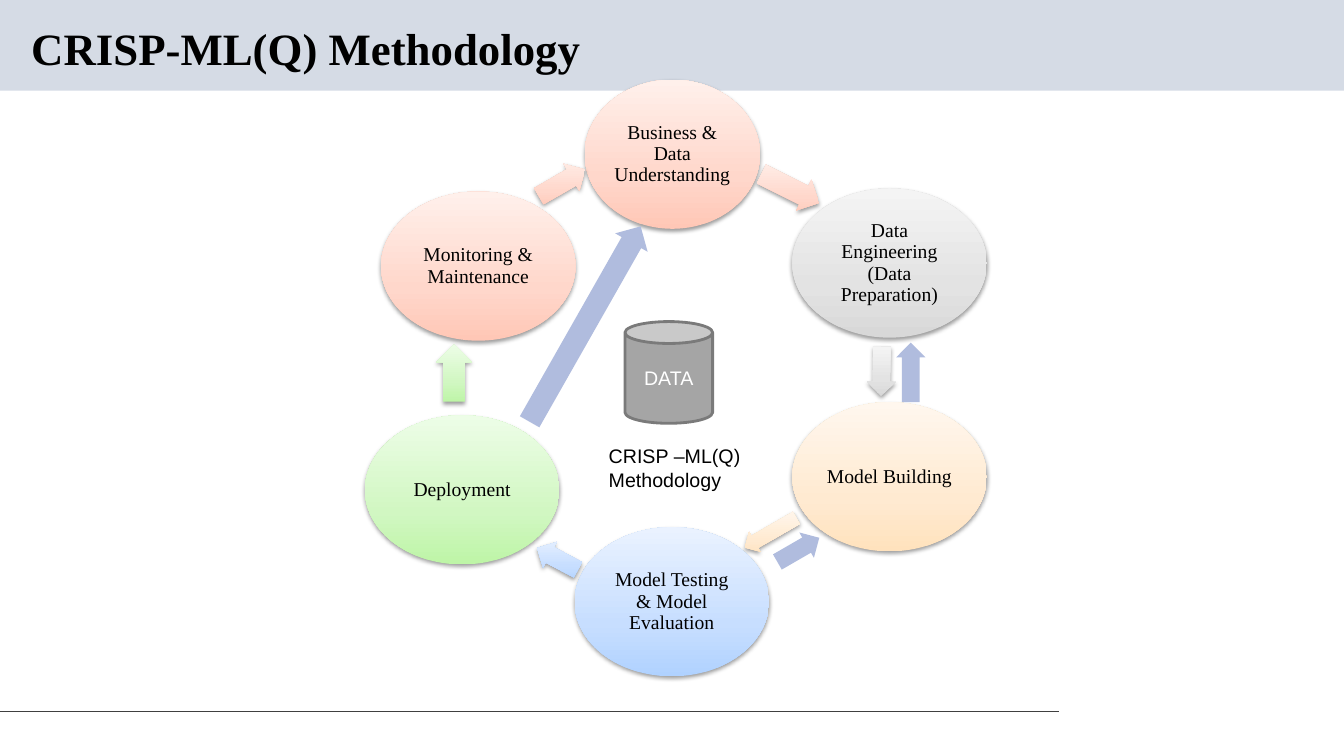
from copy import deepcopy

from pptx import Presentation, util as u
from pptx.dml.color import RGBColor
from pptx.enum import shapes, text
from pptx.oxml import parse_xml
from pptx.oxml.ns import nsdecls, qn

# Grid: each column and row is a tenth of an inch
CELL = u.Inches(0.1)
COLS, ROWS = 133.33, 75

SERIF, SANS = "Times New Roman", "Arial"
BLACK = RGBColor(0x00, 0x00, 0x00)
WHITE = RGBColor(0xFF, 0xFF, 0xFF)
BAND = RGBColor(0xD5, 0xDB, 0xE5)
RULE = RGBColor(0x40, 0x40, 0x40)
BACK = RGBColor(0xB0, 0xBC, 0xDE)
STEEL = RGBColor(0xA5, 0xA5, 0xA5)
EDGE = RGBColor(0x7A, 0x7A, 0x7A)

# Gradients from the bottom up
STOPS = (0, 0.35, 1)
CORAL = (RGBColor(0xFF, 0xC7, 0xB6), RGBColor(0xFF, 0xD7, 0xCB), RGBColor(0xFF, 0xF0, 0xEB))
GRAY = (RGBColor(0xD8, 0xD8, 0xD8), RGBColor(0xE3, 0xE3, 0xE3), RGBColor(0xF4, 0xF4, 0xF4))
PEACH = (RGBColor(0xFF, 0xE2, 0xBD), RGBColor(0xFF, 0xEA, 0xD1), RGBColor(0xFF, 0xF7, 0xEE))
BLUE = (RGBColor(0xB0, 0xD2, 0xFF), RGBColor(0xC7, 0xDE, 0xFF), RGBColor(0xEA, 0xF2, 0xFF))
GREEN = (RGBColor(0xBE, 0xF5, 0xA7), RGBColor(0xD1, 0xF7, 0xC2), RGBColor(0xED, 0xFD, 0xE7))

# Stages: label, tones, left, top, width, then the arrow's box and turn
WIDE, TALL = 19.3, 14.8
STAGES = [
    ("Business & Data Understanding", CORAL, 58, 7.9, 17.4, (75.2, 17, 6.4, 3.4), 26.6),
    ("Data Engineering (Data Preparation)", GRAY, 78.6, 18.7, WIDE, (85, 35.4, 4.9, 2.9), 91.1),
    ("Model Building", PEACH, 78.6, 39.9, WIDE, (73.5, 51.7, 5.9, 2.3), 150.1),
    ("Model Testing & Model Evaluation", BLUE, 57, 52.3, WIDE, (53, 54, 4.6, 2.9), 208.1),
    ("Deployment", GREEN, 36.2, 41.2, WIDE, (42.2, 35.2, 5.7, 3.6), 270),
    ("Monitoring & Maintenance", CORAL, 37.8, 19, WIDE, (53.1, 16.6, 5.3, 3.1), 330),
]
RETURNS = [
    ((87.4, 35.5, 5.9, 2.9), 270),
    ((76.8, 53.1, 4.8, 2.9), 330),
    ((46.9, 30.3, 22.3, 3.7), 299.6),
]


def cells(*box):
    return [round(n * CELL) for n in box]


def write(shape, words, font=SERIF, size=14, color=BLACK, bold=False,
          align=text.PP_ALIGN.CENTER, space=None, anchor=text.MSO_ANCHOR.MIDDLE,
          inset=None, wrap=True):
    frame = shape.text_frame
    frame.text = words
    frame.word_wrap = wrap
    frame.vertical_anchor = anchor
    if inset is not None:
        frame.margin_left = frame.margin_right = u.Inches(inset)
        frame.margin_top = frame.margin_bottom = u.Inches(inset)
    for para in frame.paragraphs:
        para.alignment = align
        para.line_spacing = space
        for run in para.runs:
            run.font.name = font
            run.font.size = u.Pt(size)
            run.font.bold = bold
            run.font.color.rgb = color


def draw(slide, kind, box, fill):
    """Add a preset shape, flat for one colour or shaded for a tuple."""
    shape = slide.shapes.add_shape(kind, *cells(*box))
    shape.line.fill.background()
    shape.shadow.inherit = False
    if isinstance(fill, RGBColor):
        shape.fill.solid()
        shape.fill.fore_color.rgb = fill
    else:
        shade(shape, fill)
    return shape


def shade(shape, tones):
    shape.fill.gradient()
    shape.fill.gradient_angle = 90
    props = shape.element.spPr
    grad = props.find(qn("a:gradFill"))
    grad.set("rotWithShape", "0")
    first = grad.find(qn("a:gsLst"))[0]
    first.addnext(deepcopy(first))
    for stop, spot, tone in zip(shape.fill.gradient_stops, STOPS, tones):
        stop.position = spot
        stop.color.rgb = tone
    # Soft shadow below the shape
    props.find(qn("a:effectLst")).append(parse_xml(
        f'<a:outerShdw {nsdecls("a")} blurRad="{u.Pt(3.1)}" dist="{u.Pt(1.6)}" '
        'dir="5400000" rotWithShape="0"><a:srgbClr val="000000">'
        '<a:alpha val="38000"/></a:srgbClr></a:outerShdw>'))


def arrow(slide, box, turn, fill):
    shape = draw(slide, shapes.MSO_SHAPE.RIGHT_ARROW, box, fill)
    shape.adjustments[0] = 0.6
    shape.adjustments[1] = 0.5
    shape.rotation = turn


def stage(slide, words, tones, left, top, width, box, turn):
    oval = draw(slide, shapes.MSO_SHAPE.OVAL, (left, top, width, TALL), tones)
    write(oval, words, space=0.9, inset=0.02)
    arrow(slide, box, turn, tones)


def rule(slide, row, end):
    line = slide.shapes.add_connector(
        shapes.MSO_CONNECTOR.STRAIGHT, *cells(0, row, end, row))
    line.line.color.rgb = RULE
    line.line.width = u.Pt(0.75)
    line.element.spPr.append(parse_xml(f'<a:effectLst {nsdecls("a")}/>'))


def head(slide, words):
    draw(slide, shapes.MSO_SHAPE.RECTANGLE, (0, 0, COLS, 9), BAND)
    title = slide.shapes.title
    title.left, title.top, title.width, title.height = cells(2.1, 2.1, 114.4, 5.9)
    write(title, words, size=32, bold=True, align=text.PP_ALIGN.LEFT, space=0.9)
    # Bring the title in front of the band
    slide.shapes.element.append(title.element)


def store(slide):
    can = draw(slide, shapes.MSO_SHAPE.CAN, (62, 31.9, 8.7, 10.1), STEEL)
    can.line.color.rgb = EDGE
    can.line.width = u.Pt(2)
    write(can, "DATA", font=SANS, color=WHITE)


def main():
    deck = Presentation()
    deck.slide_width, deck.slide_height = cells(COLS, ROWS)
    slide = deck.slides.add_slide(deck.slide_layouts[5])

    # Header and footer rule
    head(slide, "CRISP-ML(Q) Methodology")
    rule(slide, 70.6, 105.1)

    # Caption in the middle of the cycle
    note = slide.shapes.add_textbox(*cells(59.4, 43.6, 15.2, 5.7))
    write(note, "CRISP –ML(Q)\nMethodology", font=SANS, wrap=False,
          align=text.PP_ALIGN.LEFT, anchor=text.MSO_ANCHOR.TOP)
    note.text_frame.auto_size = text.MSO_AUTO_SIZE.SHAPE_TO_FIT_TEXT

    # Cycle, return paths and data store
    for item in STAGES:
        stage(slide, *item)
    for box, turn in RETURNS:
        arrow(slide, box, turn, BACK)
    store(slide)

    deck.save("out.pptx")


if __name__ == "__main__":
    main()
